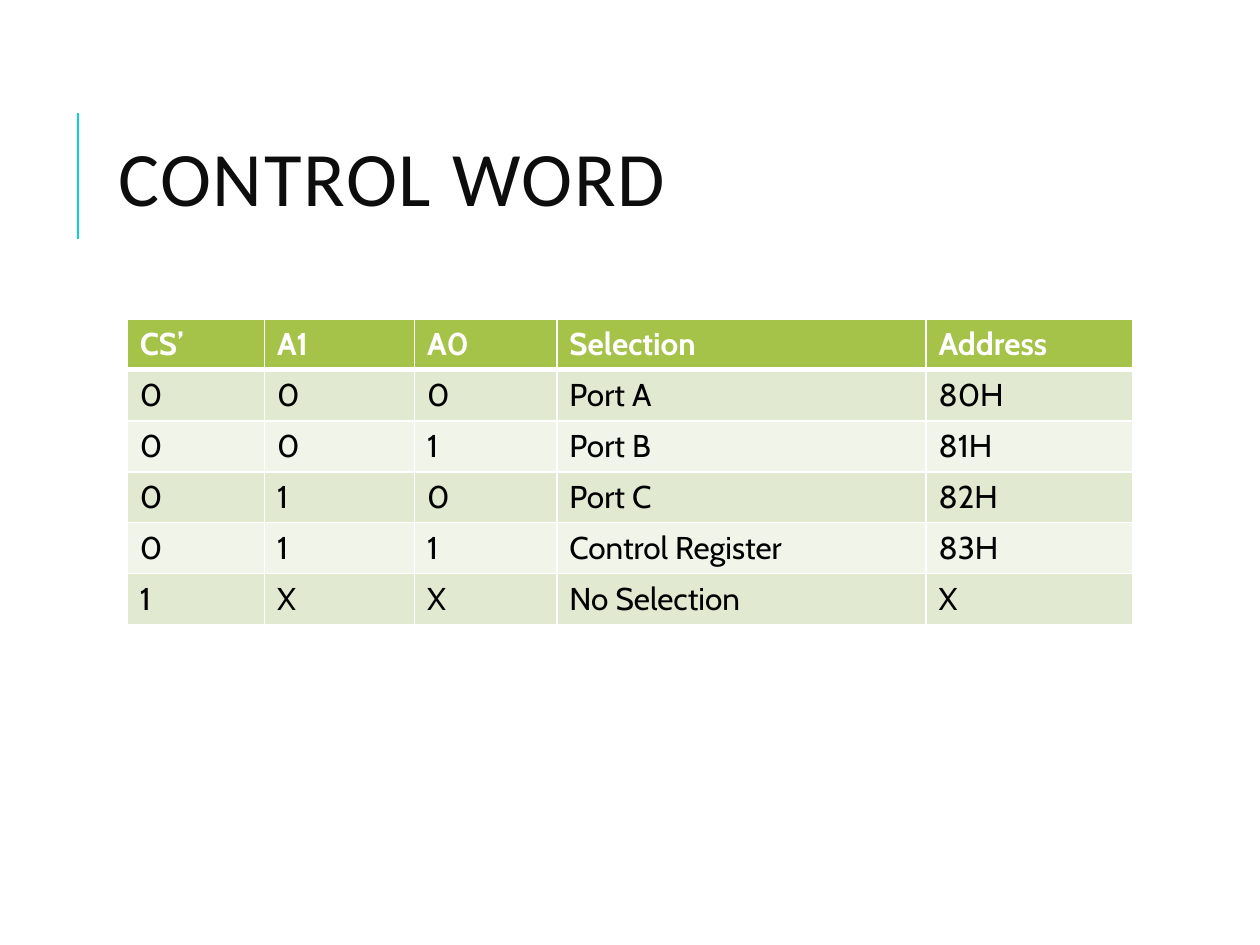
from lxml import etree
from pptx import Presentation
from pptx.dml.color import RGBColor
from pptx.enum import shapes, text
from pptx.oxml.ns import qn
from pptx.util import Inches, Pt

WHITE = RGBColor(0xFF, 0xFF, 0xFF)
BLACK = RGBColor(0, 0, 0)
TITLE_INK = RGBColor(0x0D, 0x0D, 0x0D)
CYAN = RGBColor(0x0B, 0xD0, 0xD9)
GREEN = RGBColor(0xA5, 0xC2, 0x49)
BANDS = [RGBColor(0xE1, 0xE9, 0xD0), RGBColor(0xF0, 0xF4, 0xE9)]

COL_WIDTHS = [1.09, 1.19, 1.13, 2.93, 1.64]
ROW_HEIGHT = 0.405
ROWS = [
    ["CS’", "A1", "A0", "Selection", "Address"],
    ["0", "0", "0", "Port A", "80H"],
    ["0", "0", "1", "Port B", "81H"],
    ["0", "1", "0", "Port C", "82H"],
    ["0", "1", "1", "Control Register", "83H"],
    ["1", "X", "X", "No Selection", "X"],
]


def add_run(p, words, font, size, color, bold=False):
    r = p.add_run()
    r.text = words
    r.font.name = font
    r.font.size = Pt(size)
    r.font.bold = bold
    r.font.color.rgb = color
    return r


def add_accent_line(slide, x, top, bottom):
    line = slide.shapes.add_connector(
        shapes.MSO_CONNECTOR.STRAIGHT,
        Inches(x), Inches(bottom), Inches(x), Inches(top))
    line.line.color.rgb = CYAN
    line.line.width = Pt(1.5)
    etree.SubElement(line._element.spPr, qn("a:effectLst"))


def add_title(slide, words):
    sp = slide.shapes.add_textbox(
        Inches(0.84), Inches(0.64), Inches(7.97), Inches(1.64))
    tf = sp.text_frame
    tf.word_wrap = True
    tf.vertical_anchor = text.MSO_ANCHOR.MIDDLE
    p = tf.paragraphs[0]
    p.line_spacing = 0.8
    r = add_run(p, words, "Calibri", 44, TITLE_INK)
    r.font._element.set("spc", "100")


def set_borders(cell, widths):
    """Draw white cell borders; widths maps a side (L, R, T, B) to points."""
    tc_pr = cell._tc.get_or_add_tcPr()
    for i, (side, width) in enumerate(widths.items()):
        ln = etree.Element(qn(f"a:ln{side}"), w=str(Pt(width)))
        fill = etree.SubElement(ln, qn("a:solidFill"))
        etree.SubElement(fill, qn("a:srgbClr"), val=str(WHITE))
        tc_pr.insert(i, ln)


def add_address_table(slide, left, top):
    frame = slide.shapes.add_table(
        len(ROWS), len(COL_WIDTHS), Inches(left), Inches(top),
        Inches(sum(COL_WIDTHS)), Inches(ROW_HEIGHT * len(ROWS)))
    table = frame.table
    for column, width in zip(table.columns, COL_WIDTHS):
        column.width = Inches(width)
    for i, values in enumerate(ROWS):
        table.rows[i].height = Inches(ROW_HEIGHT)
        header = i == 0
        for j, value in enumerate(values):
            cell = table.cell(i, j)
            cell.fill.solid()
            cell.fill.fore_color.rgb = GREEN if header else BANDS[(i - 1) % 2]
            # A thick rule separates the header from the body
            set_borders(cell, {"L": 1, "R": 1, "T": 3 if i == 1 else 1,
                               "B": 3 if header else 1})
            add_run(cell.text_frame.paragraphs[0], value, "Cabin", 18,
                    WHITE if header else BLACK, header)


def main():
    prs = Presentation()
    prs.slide_width, prs.slide_height = Inches(10), Inches(7.5)
    slide = prs.slides.add_slide(prs.slide_layouts[6])

    # Heading
    add_accent_line(slide, 0.62, 0.9, 1.9)
    add_title(slide, "CONTROL WORD")

    # Port selection and addresses
    add_address_table(slide, 1.01, 2.53)

    prs.save("out.pptx")


if __name__ == "__main__":
    main()
